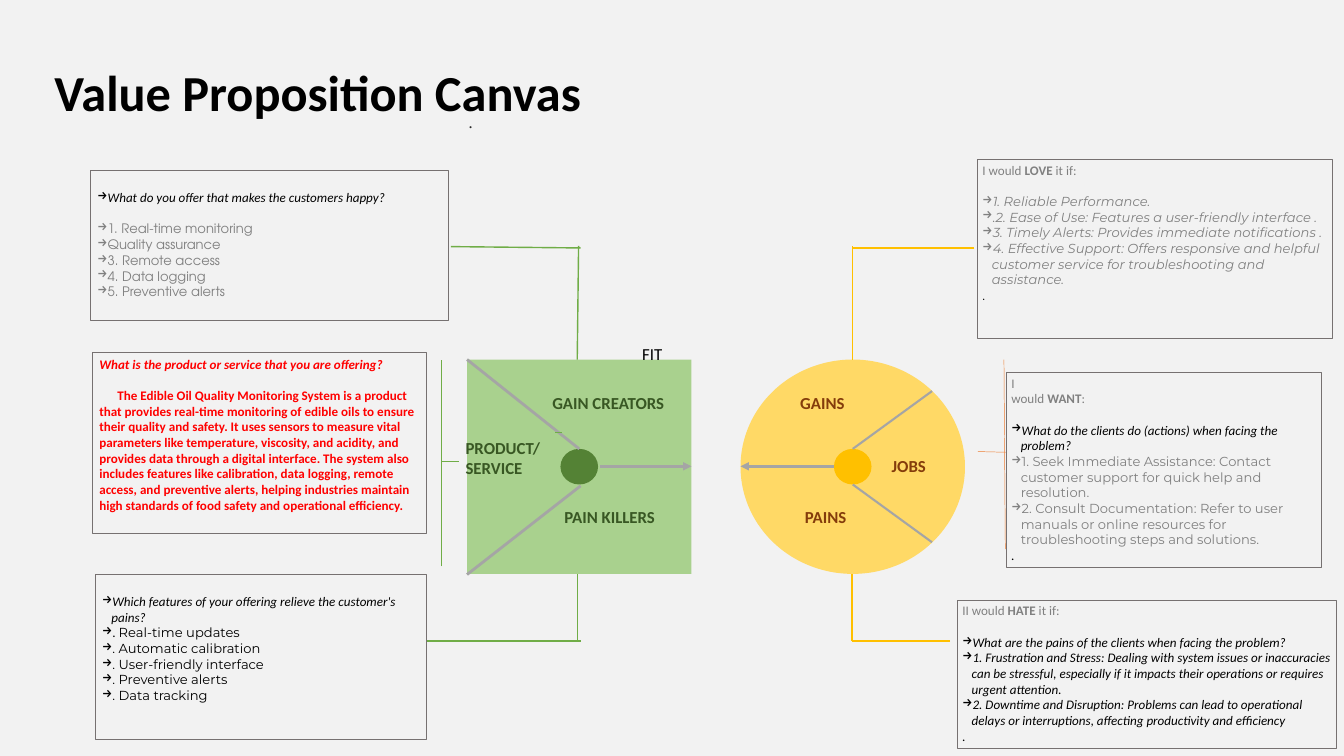
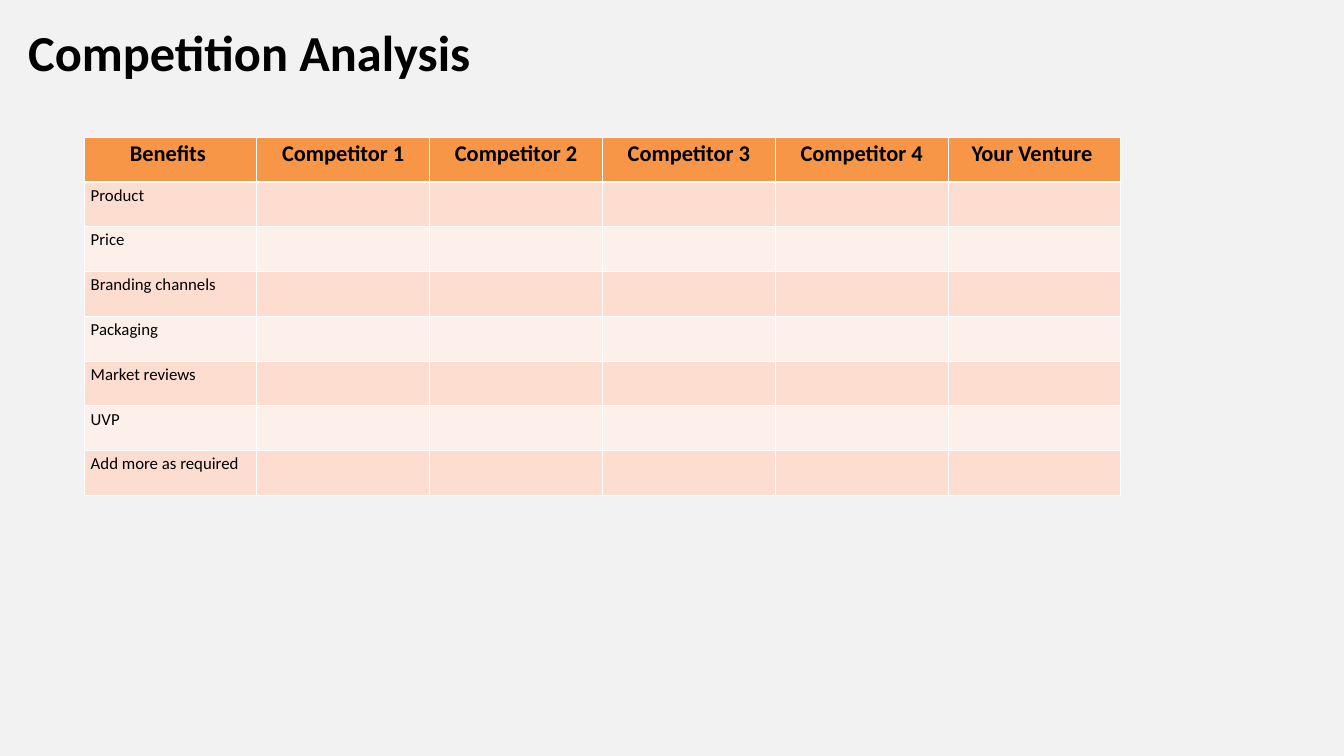
from lxml import etree
from pptx import Presentation
from pptx import util as u
from pptx.dml.color import RGBColor
from pptx.enum import shapes, text
from pptx.oxml import ns

Inches, Pt = u.Inches, u.Pt

# Shared look
BACKGROUND = "F2F2F2"
BLACK, GRAY, RED = "000000", "808080", "FF0000"
SPOKE, FRAME, WHITE = "A5A5A5", "767171", "FFFFFF"
GREEN, YELLOW, ORANGE = "70AD47", "FFC000", "ED7D31"
DARK_GREEN, BROWN = "385723", "843C0B"
NOTE_SIZE, LABEL_SIZE, TITLE_SIZE, HEADER_SIZE = 14, 18, 54, 24
BLANK_LINE = NOTE_SIZE * 1.2
HANGING = 0.14

# Text styles: font, colour, bold, italic
STYLES = {
    "lead": ("Calibri", GRAY, False, False),
    "strong": ("Calibri", GRAY, True, False),
    "question": ("Calibri", BLACK, False, True),
    "plain": ("Calibri", BLACK, False, False),
    "offer": ("TeX Gyre Adventor", GRAY, False, False),
    "feature": ("Montserrat", BLACK, False, False),
    "wish": ("Montserrat", GRAY, False, True),
    "action": ("Montserrat", GRAY, False, False),
    "red question": ("Calibri", RED, True, True),
    "red": ("Calibri", RED, True, False),
    "title": ("Calibri", BLACK, True, False),
    "green label": ("Calibri", DARK_GREEN, True, False),
    "brown label": ("Calibri", BROWN, True, False),
    "dot": ("TeX Gyre Schola", "292929", False, False),
}

# Notes: box, (side inset, top inset), paragraphs of (layout, runs)
# Layout marks: ">" arrow bullet, "+" a line of space above, "_" first-line indent
WIDE, BELOW_GAP, TIGHT = (0.1, 0.05), (0.1, 0.28), (0.07, 0.04)
NOTES = [
    ((1.35, 2.54, 5.32, 2.22), BELOW_GAP, [
        (">", [("What do you offer that makes the customers happy?", "question")]),
        (">+", [("1. Real-time monitoring", "offer")]),
        (">", [("Quality assurance", "offer")]),
        (">", [("3. Remote access", "offer")]),
        (">", [("4. Data logging", "offer")]),
        (">", [("5. Preventive alerts", "offer")]),
    ]),
    ((1.38, 5.25, 4.96, 2.69), WIDE, [
        ("", [("What is the product or service that you are offering?", "red question")]),
        ("+_", [("The Edible Oil Quality Monitoring System is a product that provides "
                 "real-time monitoring of edible oils to ensure their quality and safety. "
                 "It uses sensors to measure vital parameters like temperature, viscosity, "
                 "and acidity, and provides data through a digital interface. The system "
                 "also includes features like calibration, data logging, remote access, "
                 "and preventive alerts, helping industries maintain high standards of "
                 "food safety and operational efficiency.", "red")]),
    ]),
    ((1.42, 8.55, 4.92, 2.46), BELOW_GAP, [
        (">", [("Which features of your offering relieve the customer's pains?", "question")]),
        (">", [(". ", "plain"), ("Real-time updates", "feature")]),
        (">", [(". Automatic calibration", "feature")]),
        (">", [(". User-friendly interface", "feature")]),
        (">", [(". Preventive alerts", "feature")]),
        (">", [(". Data tracking", "feature")]),
    ]),
    ((14.55, 2.37, 5.28, 2.67), TIGHT, [
        ("", [("I would ", "lead"), ("LOVE", "strong"), (" it if:", "lead")]),
        (">+", [("1. Reliable Performance.", "wish")]),
        (">", [(".2. Ease of Use: Features a user-friendly interface .", "wish")]),
        (">", [("3. Timely Alerts: Provides immediate notifications .", "wish")]),
        (">", [("4. Effective Support: Offers responsive and helpful customer service for "
                "troubleshooting and assistance.", "wish")]),
        ("", [(".", "feature")]),
    ]),
    ((14.98, 5.54, 4.69, 2.9), TIGHT, [
        ("", [("I", "lead")]),
        ("", [("would ", "lead"), ("WANT", "strong"), (":", "lead")]),
        (">+", [("What do the clients do (actions) when facing the problem?", "question")]),
        (">", [("1. Seek Immediate Assistance: Contact customer support for quick help "
                "and resolution.", "action")]),
        (">", [("2. Consult Documentation: Refer to user manuals or online resources for "
                "troubleshooting steps and solutions.", "action")]),
        ("", [(".", "question")]),
    ]),
    ((14.25, 8.93, 5.64, 2.2), TIGHT, [
        ("", [("II would ", "lead"), ("HATE", "strong"), (" it if:", "lead")]),
        (">+", [("What are the pains of the clients when facing the problem?", "question")]),
        (">", [("1. Frustration and Stress: Dealing with system issues or inaccuracies can "
                "be stressful, especially if it impacts their operations or requires "
                "urgent attention.", "question")]),
        (">", [("2. Downtime and Disruption: Problems can lead to operational delays or "
                "interruptions, affecting productivity and efficiency", "question")]),
        ("", [(".", "question")]),
    ]),
]

# Value map and customer profile: left, preset, fill, hub fill
HALVES = [
    (11.02, shapes.MSO_SHAPE.FLOWCHART_CONNECTOR, "FFD966", YELLOW),
    (6.95, shapes.MSO_SHAPE.RECTANGLE, "A9D18E", "548235"),
]
HALF_TOP, HALF_WIDTH, HALF_HEIGHT = 5.35, 3.34, 3.19
HUB_WIDTH, HUB_HEIGHT = 0.56, 0.53

# Lines: from, to, colour, width, arrow at the end
LINES = [
    ((12.41, 6.94), (11.02, 6.94), SPOKE, 3, True),
    ((13.87, 5.82), (12.69, 6.68), SPOKE, 2.25, False),
    ((13.87, 8.07), (12.69, 7.21), SPOKE, 2.25, False),
    ((8.93, 6.94), (10.29, 6.94), SPOKE, 3, True),
    ((8.62, 6.68), (6.95, 5.35), SPOKE, 3, False),
    ((8.64, 7.23), (6.95, 8.55), SPOKE, 3, False),
    ((8.59, 5.35), (8.61, 3.66), GREEN, 1.5, False),
    ((8.64, 3.69), (6.71, 3.67), GREEN, 1.5, False),
    ((8.59, 9.54), (8.59, 8.54), GREEN, 1.5, False),
    ((8.64, 9.54), (6.34, 9.54), GREEN, 1.5, False),
    ((8.36, 6.44), (8.26, 6.44), GREEN, 1.5, False),
    ((6.57, 8.43), (6.57, 5.35), GREEN, 1.5, False),
    ((6.83, 6.87), (6.57, 6.87), GREEN, 1.5, False),
    ((12.69, 5.35), (12.69, 3.66), YELLOW, 1.5, False),
    ((14.5, 3.69), (12.68, 3.69), YELLOW, 1.5, False),
    ((12.68, 9.54), (12.68, 8.54), YELLOW, 1.5, False),
    ((14.14, 9.54), (12.68, 9.54), YELLOW, 1.5, False),
    ((14.55, 6.72), (14.97, 6.73), ORANGE, 0.5, False),
    ((14.96, 8.17), (14.94, 5.35), ORANGE, 0.5, False),
]

# Labels: lines of text, box, style
LABELS = [
    (["JOBS"], (13.17, 6.73, 1.6, 0.56), "brown label"),
    (["PAINS"], (11.88, 7.49, 1.6, 0.56), "brown label"),
    (["GAINS"], (11.81, 5.79, 1.6, 0.56), "brown label"),
    (["GAIN CREATORS"], (8.12, 5.79, 2.33, 0.56), "green label"),
    (["PAIN KILLERS"], (8.3, 7.49, 2.33, 0.56), "green label"),
    (["PRODUCT/", "SERVICE"], (6.83, 6.46, 2.33, 0.98), "green label"),
    (["FIT"], (8.77, 5.06, 1.87, 0.4), "plain"),
    (["."], (6.87, 1.62, 0.27, 0.4), "dot"),
]

# Competition table
HEADERS = ["Benefits ", "Competitor 1", "Competitor 2", "Competitor 3", "Competitor 4",
           "Your Venture "]
BENEFITS = ["Product", "Price", "Branding channels", "Packaging", "Market reviews", "UVP",
            "Add more as required"]
HEADER_FILL, BAND_FILLS = "F79646", ("FCDDCF", "FDEFE9")
TABLE_BOX = (1.25, 2.04, 15.43, 5.33)


def color(value):
    return RGBColor.from_string(value)


def inches(values):
    return [Inches(value) for value in values]


def paint(fill, value):
    fill.solid()
    fill.fore_color.rgb = color(value)


def add_slide(presentation):
    slide = presentation.slides.add_slide(presentation.slide_layouts[6])
    paint(slide.background.fill, BACKGROUND)
    return slide


def add_run(paragraph, words, style, size):
    run = paragraph.add_run()
    run.text = words
    font = run.font
    font.name, value, font.bold, font.italic = STYLES[style]
    font.color.rgb = color(value)
    font.size = Pt(size)


def next_paragraph(frame, index):
    return frame.add_paragraph() if index else frame.paragraphs[0]


def set_insets(frame, side, top):
    frame.margin_left = frame.margin_right = Inches(side)
    frame.margin_top = frame.margin_bottom = Inches(top)


def add_label(slide, lines, box, style, size=LABEL_SIZE):
    frame = slide.shapes.add_textbox(*inches(box)).text_frame
    frame.word_wrap = style != "dot"
    for index, words in enumerate(lines):
        paragraph = next_paragraph(frame, index)
        add_run(paragraph, words, style, size)
    return frame


def add_title(slide, words, left, top):
    frame = add_label(slide, [words], (left, top, 13.49, 1.12), "title", TITLE_SIZE)
    set_insets(frame, 0, 0)
    frame.paragraphs[0].line_spacing = Pt(87.5)


def add_shape(slide, preset, box, fill=None, line=None):
    shape = slide.shapes.add_shape(preset, *inches(box))
    shape.shadow.inherit = False
    if fill:
        paint(shape.fill, fill)
    else:
        shape.fill.background()
    if line:
        shape.line.color.rgb = color(line)
        shape.line.width = Pt(0.75)
    else:
        shape.line.fill.background()
    return shape


def add_line(slide, start, end, value, width, arrow):
    line = slide.shapes.add_connector(shapes.MSO_CONNECTOR.STRAIGHT, *inches(start + end))
    line.line.color.rgb = color(value)
    line.line.width = Pt(width)
    if arrow:
        outline = line.line._get_or_add_ln()
        etree.SubElement(outline, ns.qn("a:tailEnd"), type="triangle")
    etree.SubElement(line._element.spPr, ns.qn("a:effectLst"))


def add_note(slide, box, insets, paragraphs):
    shape = add_shape(slide, shapes.MSO_SHAPE.RECTANGLE, box, line=FRAME)
    frame = shape.text_frame
    frame.word_wrap = True
    frame.vertical_anchor = text.MSO_ANCHOR.TOP
    set_insets(frame, *insets)
    for index, (layout, runs) in enumerate(paragraphs):
        paragraph = next_paragraph(frame, index)
        paragraph.alignment = text.PP_ALIGN.LEFT
        if "+" in layout:
            paragraph.space_before = Pt(BLANK_LINE)
        properties = paragraph._p.get_or_add_pPr()
        if "_" in layout:
            properties.set("indent", str(Inches(0.27)))
        if ">" in layout:
            properties.set("marL", str(Inches(HANGING)))
            properties.set("indent", str(-Inches(HANGING)))
            etree.SubElement(properties, ns.qn("a:buChar"), char="→")
        for words, style in runs:
            add_run(paragraph, words, style, NOTE_SIZE)


def set_borders(cell, bottom_width):
    properties = cell._tc.get_or_add_tcPr()
    widths = {"lnL": 1, "lnR": 1, "lnT": 1, "lnB": bottom_width}
    for position, (side, width) in enumerate(widths.items()):
        border = etree.Element(ns.qn("a:" + side), w=str(Pt(width)))
        fill = etree.SubElement(border, ns.qn("a:solidFill"))
        etree.SubElement(fill, ns.qn("a:srgbClr"), val=WHITE)
        properties.insert(position, border)


def build_canvas(slide):
    add_title(slide, "Value Proposition Canvas", 0.81, 0.6)
    for left, preset, fill, hub_fill in HALVES:
        add_shape(slide, preset, (left, HALF_TOP, HALF_WIDTH, HALF_HEIGHT), fill)
        hub = (left + (HALF_WIDTH - HUB_WIDTH) / 2, HALF_TOP + (HALF_HEIGHT - HUB_HEIGHT) / 2,
               HUB_WIDTH, HUB_HEIGHT)
        add_shape(slide, shapes.MSO_SHAPE.FLOWCHART_CONNECTOR, hub, hub_fill)
    for line in LINES:
        add_line(slide, *line)
    for note in NOTES:
        add_note(slide, *note)
    for lines, box, style in LABELS:
        frame = add_label(slide, lines, box, style)
        if lines == ["FIT"]:
            frame.paragraphs[0].alignment = text.PP_ALIGN.CENTER


def build_competition(slide):
    add_title(slide, "Competition Analysis", 0.42, 0)
    rows = [HEADERS] + [[benefit] + [""] * (len(HEADERS) - 1) for benefit in BENEFITS]
    table = slide.shapes.add_table(len(rows), len(HEADERS), *inches(TABLE_BOX)).table
    for row, entries in enumerate(rows):
        for column, words in enumerate(entries):
            cell = table.cell(row, column)
            paint(cell.fill, BAND_FILLS[(row - 1) % 2] if row else HEADER_FILL)
            set_borders(cell, 1 if row else 3)
            paragraph = cell.text_frame.paragraphs[0]
            if row == 0:
                paragraph.alignment = text.PP_ALIGN.CENTER
                add_run(paragraph, words, "title", HEADER_SIZE)
            elif words:
                add_run(paragraph, words, "plain", LABEL_SIZE)


def main():
    presentation = Presentation()
    presentation.slide_width, presentation.slide_height = Inches(20), Inches(11.25)
    build_canvas(add_slide(presentation))
    build_competition(add_slide(presentation))
    presentation.save("out.pptx")


if __name__ == "__main__":
    main()
